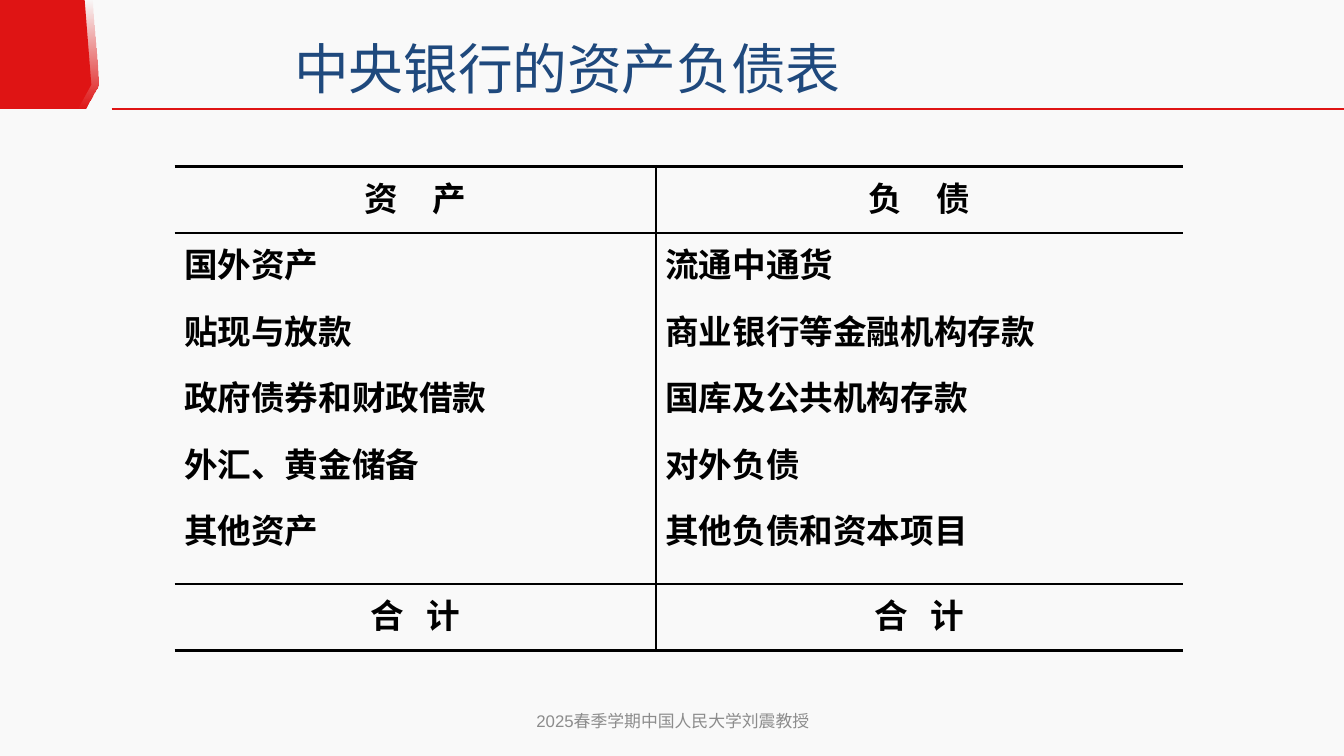
from lxml import etree
from pptx import Presentation, util as u
from pptx.dml.color import RGBColor
from pptx.enum import shapes, text
from pptx.oxml import ns

TITLE = "中央银行的资产负债表"
FOOTER = "2025春季学期中国人民大学刘震教授"
HEADER = ("资　产", "负　债")
ITEMS = [
    ("国外资产", "流通中通货"),
    ("贴现与放款", "商业银行等金融机构存款"),
    ("政府债券和财政借款", "国库及公共机构存款"),
    ("外汇、黄金储备", "对外负债"),
    ("其他资产", "其他负债和资本项目"),
]
TOTAL = ("合 计", "合 计")
BALANCE = [HEADER, *ITEMS, TOTAL]

COLORS = {"page": "F9F9F9", "red": "DF1414", "title": "1F497D",
          "ink": "000000", "footer": "8C8C8C"}
FONT = "Arial"
WIDTH = 10
HEIGHT = WIDTH * 9 / 16
BAND = 0.81
FLAG = [(0, 0), (0.63, 0), (0.68, 0.63), (0.58, BAND), (0, BAND)]
COLUMNS = (3.58, 3.92)
SHEET_HEIGHT, LAST_ITEM_ROW = 3.6, 0.63
THIN, THICK = 1, 2.25
TOTAL_GAP = 8  # points added to the space inside the total label
NO_STYLE = "{2D5ABB26-0587-4C30-8999-92F81FD0307C}"


def rgb(name):
    return RGBColor.from_string(COLORS[name])


def add_run(paragraph, words, size, color, bold=False):
    run = paragraph.add_run()
    run.text = words
    run.font.name = FONT
    run.font.size = u.Pt(size)
    run.font.bold = bold
    run.font.color.rgb = rgb(color)
    return run


def add_label(slide, box, words, size, color):
    frame = slide.shapes.add_textbox(*map(u.Inches, box)).text_frame
    add_run(frame.paragraphs[0], words, size, color)
    return frame


def add_flag(slide, shift):
    points = [(u.Inches(x + shift), u.Inches(y)) for x, y in FLAG]
    builder = slide.shapes.build_freeform(*points[0])
    builder.add_line_segments(points[1:], close=True)
    flag = builder.convert_to_shape()
    flag.shadow.inherit = False
    flag.line.fill.background()
    flag.fill.solid()
    flag.fill.fore_color.rgb = rgb("red")
    return flag


def fade_upward(flag):
    """Swap the solid fill for a gradient that turns clear at the top."""
    solid = flag._element.spPr.find(ns.qn("a:solidFill"))
    gradient = etree.fromstring(
        f'<a:gradFill {ns.nsdecls("a")} rotWithShape="1"><a:gsLst>'
        f'<a:gs pos="0"><a:srgbClr val="{COLORS["red"]}"/></a:gs>'
        f'<a:gs pos="100000"><a:srgbClr val="{COLORS["red"]}">'
        '<a:alpha val="0"/></a:srgbClr></a:gs></a:gsLst>'
        '<a:lin ang="16200000" scaled="0"/></a:gradFill>')
    solid.getparent().replace(solid, gradient)


def add_rule(slide):
    rule = slide.shapes.add_connector(
        shapes.MSO_CONNECTOR.STRAIGHT,
        *map(u.Inches, (0.83, BAND, WIDTH, BAND)))
    rule.line.color.rgb = rgb("red")
    rule.line.width = u.Pt(0.75)
    etree.SubElement(rule._element.spPr, ns.qn("a:effectLst"))


def set_borders(cell, widths):
    """Draw the cell's edges; widths maps L, R, T, B (in that order) to points."""
    properties = cell._tc.get_or_add_tcPr()
    for side, width in widths.items():
        edge = etree.SubElement(properties, ns.qn(f"a:ln{side}"),
                                w=str(u.Pt(width)))
        if width:
            fill = etree.SubElement(edge, ns.qn("a:solidFill"))
            etree.SubElement(fill, ns.qn("a:srgbClr"), val=COLORS["ink"])
        else:
            etree.SubElement(edge, ns.qn("a:noFill"))


def add_entry(line, entry):
    """Write a cell's words, widening a plain space between them."""
    before, gap, after = entry.partition(" ")
    add_run(line, before, 18, "ink", bold=True)
    if gap:
        space = add_run(line, gap, 18, "ink", bold=True)
        space.font._element.set("spc", str(TOTAL_GAP * 100))
        add_run(line, after, 18, "ink", bold=True)


def add_balance_sheet(slide):
    last = len(BALANCE) - 1
    heights = [(SHEET_HEIGHT - LAST_ITEM_ROW) / last] * len(BALANCE)
    heights[last - 1] = LAST_ITEM_ROW
    # Weight of each horizontal rule, by the row it lies above
    rules = {0: THICK, 1: THIN, last: THIN, last + 1: THICK}
    sheet = slide.shapes.add_table(
        len(BALANCE), len(COLUMNS),
        *map(u.Inches, (1.3, 1.24, sum(COLUMNS), SHEET_HEIGHT))).table
    sheet.first_row = sheet.horz_banding = False
    sheet._tbl.tblPr.find(ns.qn("a:tableStyleId")).text = NO_STYLE
    for column, width in zip(sheet.columns, COLUMNS):
        column.width = u.Inches(width)
    for r, (entries, height) in enumerate(zip(BALANCE, heights)):
        sheet.rows[r].height = u.Inches(height)
        for c, entry in enumerate(entries):
            cell = sheet.cell(r, c)
            cell.margin_left = cell.margin_right = u.Inches(0.07)
            cell.margin_top = cell.margin_bottom = u.Inches(0.04)
            set_borders(cell, {"L": THIN if c else 0, "R": 0 if c else THIN,
                               "T": rules.get(r, 0), "B": rules.get(r + 1, 0)})
            cell.fill.background()
            line = cell.text_frame.paragraphs[0]
            if r in (0, last):
                line.alignment = text.PP_ALIGN.CENTER
            add_entry(line, entry)


def main():
    deck = Presentation()
    deck.slide_width, deck.slide_height = u.Inches(WIDTH), u.Inches(HEIGHT)
    slide = deck.slides.add_slide(deck.slide_layouts[6])
    slide.background.fill.solid()
    slide.background.fill.fore_color.rgb = rgb("page")

    fade_upward(add_flag(slide, 0.05))
    add_flag(slide, 0)
    add_rule(slide)
    add_balance_sheet(slide)

    title = add_label(slide, (2.09, 0.21, 4.3, 0.59), TITLE, 29.25, "title")
    title.word_wrap = False
    footer = add_label(slide, (3.42, 5.21, 3.17, 0.3), FOOTER, 9, "footer")
    footer.word_wrap = True
    footer.vertical_anchor = text.MSO_ANCHOR.MIDDLE
    footer.paragraphs[0].alignment = text.PP_ALIGN.CENTER
    deck.save("out.pptx")


if __name__ == "__main__":
    main()
